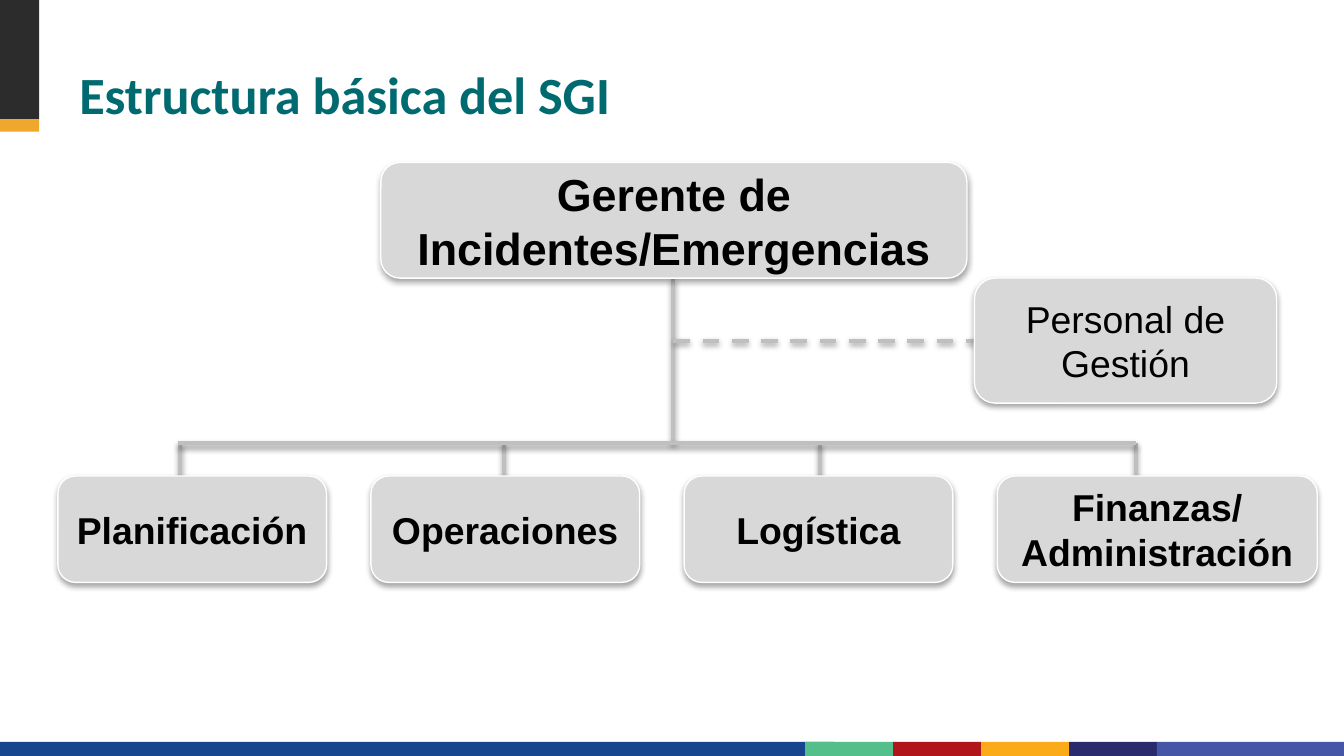
"""Build the slide with the basic organisation chart of the SGI."""
from dataclasses import dataclass

from lxml.etree import SubElement
from pptx import Presentation
from pptx.dml.color import RGBColor
from pptx.enum.dml import MSO_LINE
from pptx.enum.shapes import MSO_CONNECTOR, MSO_SHAPE
from pptx.enum.text import MSO_ANCHOR, MSO_AUTO_SIZE, PP_ALIGN
from pptx.oxml.ns import qn
from pptx.slide import Slide
from pptx.util import Pt

WHITE = RGBColor(0xFF, 0xFF, 0xFF)
BLACK = RGBColor(0x00, 0x00, 0x00)
TEAL = RGBColor(0x00, 0x6A, 0x71)
PALE = RGBColor(0xD8, 0xD8, 0xD8)
GREY = RGBColor(0xBF, 0xBF, 0xBF)
DARK = RGBColor(0x2D, 0x2C, 0x2C)
AMBER = RGBColor(0xF0, 0xA8, 0x2C)
BLUE = RGBColor(0x17, 0x46, 0x8F)
GREEN = RGBColor(0x55, 0xBF, 0x8B)
RED = RGBColor(0xB0, 0x15, 0x19)
GOLD = RGBColor(0xFB, 0xAB, 0x18)
NAVY = RGBColor(0x29, 0x2B, 0x6E)
VIOLET = RGBColor(0x46, 0x56, 0xA6)

WIDTH, HEIGHT = 720, 405
FOOT_TOP, FOOT_LEFT, FOOT_STEP = 397.5, 431.4, 47.1
BOX_LEFT, BOX_TOP, BOX_STEP = 31, 255, 167.75
TRUNK, BRANCH = 360.75, 237.5
STEMS = (96.5, 270, 439.25, 608.5)


@dataclass
class Band:
    left: float
    top: float
    width: float
    height: float
    color: RGBColor


@dataclass
class Box:
    text: str
    left: float
    top: float
    width: float
    height: float
    size: float = 20
    bold: bool = True


@dataclass
class Link:
    x1: float
    y1: float
    x2: float
    y2: float
    dashed: bool = False


def write(frame, text: str, *, size: float, color: RGBColor, font: str = "Arial",
          bold: bool = True, align=PP_ALIGN.CENTER, anchor=MSO_ANCHOR.MIDDLE,
          spacing: float = 1.0) -> None:
    """Fill a text frame and format each of its paragraphs."""
    frame.text = text
    frame.word_wrap = True
    frame.auto_size = MSO_AUTO_SIZE.NONE
    frame.vertical_anchor = anchor
    for para in frame.paragraphs:
        para.alignment = align
        para.line_spacing = spacing
        para.font.name = font
        para.font.size = Pt(size)
        para.font.bold = bold
        para.font.color.rgb = color


def add_shade(shape, drop: float, alpha: int) -> None:
    """Give a shape or connector a soft shadow straight below it."""
    effects = SubElement(shape._element.spPr, qn("a:effectLst"))
    outer = SubElement(effects, qn("a:outerShdw"), blurRad=str(Pt(3.1)),
                       dist=str(Pt(drop)), dir="5400000", rotWithShape="0")
    tint = SubElement(outer, qn("a:srgbClr"), val=str(BLACK))
    SubElement(tint, qn("a:alpha"), val=str(alpha * 1000))


def add_band(slide: Slide, band: Band) -> None:
    """Draw one plain coloured bar."""
    shape = slide.shapes.add_shape(MSO_SHAPE.RECTANGLE, Pt(band.left), Pt(band.top),
                                   Pt(band.width), Pt(band.height))
    shape.shadow.inherit = False
    shape.fill.solid()
    shape.fill.fore_color.rgb = band.color
    shape.line.fill.background()


def add_box(slide: Slide, box: Box) -> None:
    """Draw one rounded box of the chart."""
    shape = slide.shapes.add_shape(MSO_SHAPE.ROUNDED_RECTANGLE, Pt(box.left), Pt(box.top),
                                   Pt(box.width), Pt(box.height))
    shape.fill.solid()
    shape.fill.fore_color.rgb = PALE
    shape.line.color.rgb = WHITE
    shape.line.width = Pt(0.75)
    add_shade(shape, 1.8, 35)
    write(shape.text_frame, box.text, size=box.size, color=BLACK, bold=box.bold)


def add_link(slide: Slide, link: Link) -> None:
    """Draw one line of the chart."""
    line = slide.shapes.add_connector(MSO_CONNECTOR.STRAIGHT, Pt(link.x1), Pt(link.y1),
                                      Pt(link.x2), Pt(link.y2))
    line.line.color.rgb = GREY
    line.line.width = Pt(2.25)
    if link.dashed:
        line.line.dash_style = MSO_LINE.DASH
    add_shade(line, 1.6, 37)


def add_title(slide: Slide, text: str) -> None:
    """Place and format the title."""
    title = slide.shapes.title
    title.left, title.top, title.width, title.height = Pt(35.25), Pt(16.5), Pt(648), Pt(54)
    write(title.text_frame, text, size=28, color=TEAL, font="Calibri",
          align=PP_ALIGN.LEFT, anchor=MSO_ANCHOR.BOTTOM, spacing=1.07)


def main() -> None:
    """Build and save the slide."""
    deck = Presentation()
    deck.slide_width, deck.slide_height = Pt(WIDTH), Pt(HEIGHT)
    slide = deck.slides.add_slide(deck.slide_layouts[5])

    foot = HEIGHT - FOOT_TOP
    bands = [Band(0, FOOT_TOP, 447, foot, BLUE),
             Band(0, 0, 21, 64, DARK),
             Band(0, 64, 21, 6.5, AMBER)]
    for i, color in enumerate((GREEN, RED, GOLD, NAVY, VIOLET)):
        left = FOOT_LEFT + i * FOOT_STEP
        width = WIDTH - left if color == VIOLET else FOOT_STEP
        bands.append(Band(left, FOOT_TOP, width, foot, color))
    for band in bands:
        add_band(slide, band)

    add_title(slide, "Estructura básica del SGI")

    links = [Link(TRUNK, 149, TRUNK, BRANCH)]
    links += [Link(x, BRANCH, x, BOX_TOP + 2) for x in STEMS]
    links += [Link(STEMS[0] - 1, BRANCH, STEMS[-1], BRANCH),
              Link(TRUNK, 182.5, 522, 182.5, dashed=True)]
    for link in links:
        add_link(slide, link)

    boxes = [Box("Gerente de Incidentes/Emergencias", 204, 87, 314, 62, size=24),
             Box("Personal de Gestión", 522, 149, 162, 67, bold=False)]
    units = (("Planificación", 144), ("Operaciones", 144), ("Logística", 144),
             ("Finanzas/\nAdministración", 171.5))
    boxes += [Box(text, BOX_LEFT + i * BOX_STEP, BOX_TOP, width, 57)
              for i, (text, width) in enumerate(units)]
    for box in boxes:
        add_box(slide, box)

    deck.save("out.pptx")


if __name__ == "__main__":
    main()
